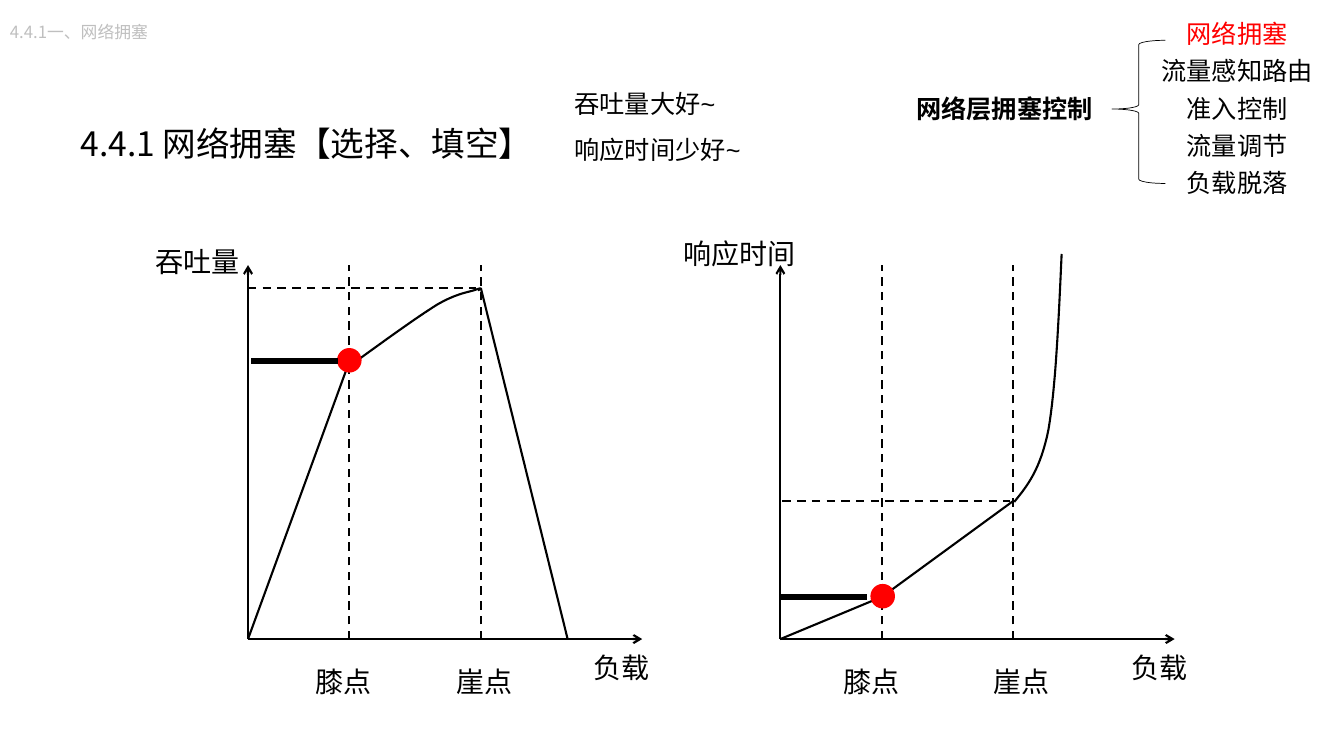
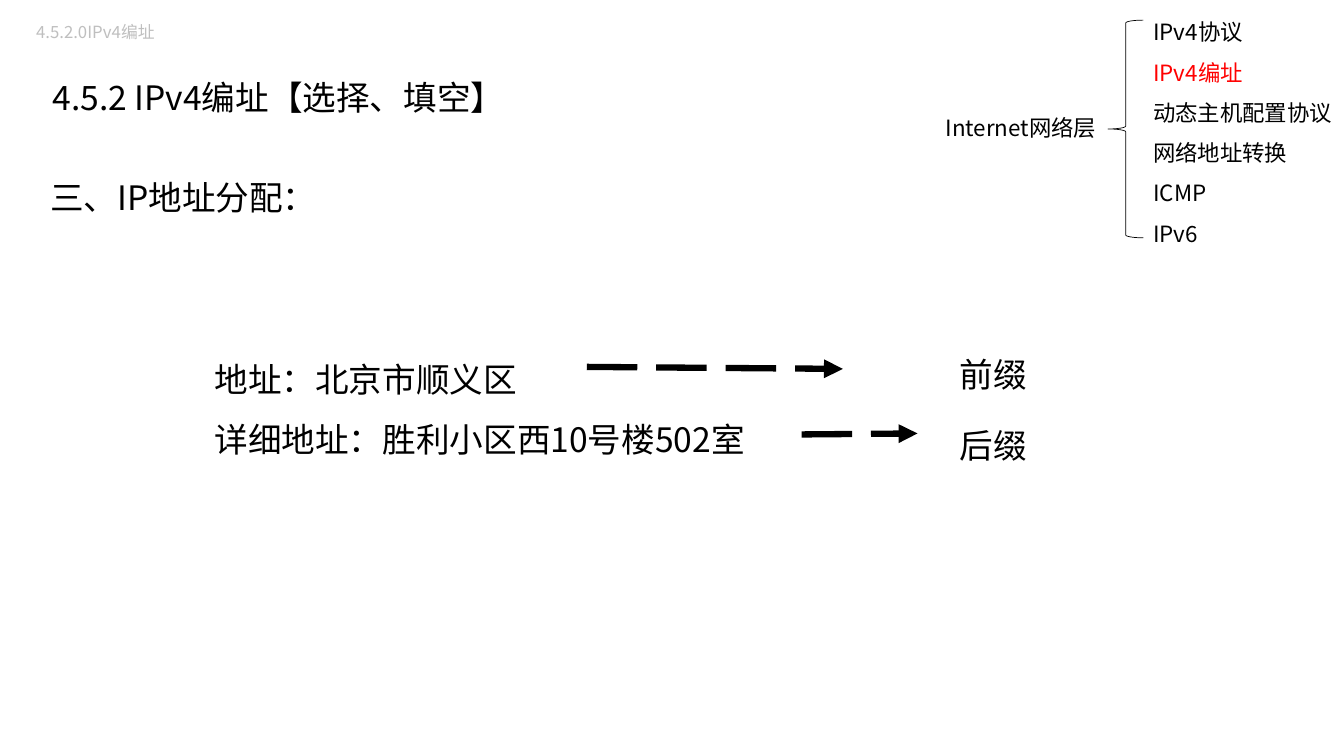
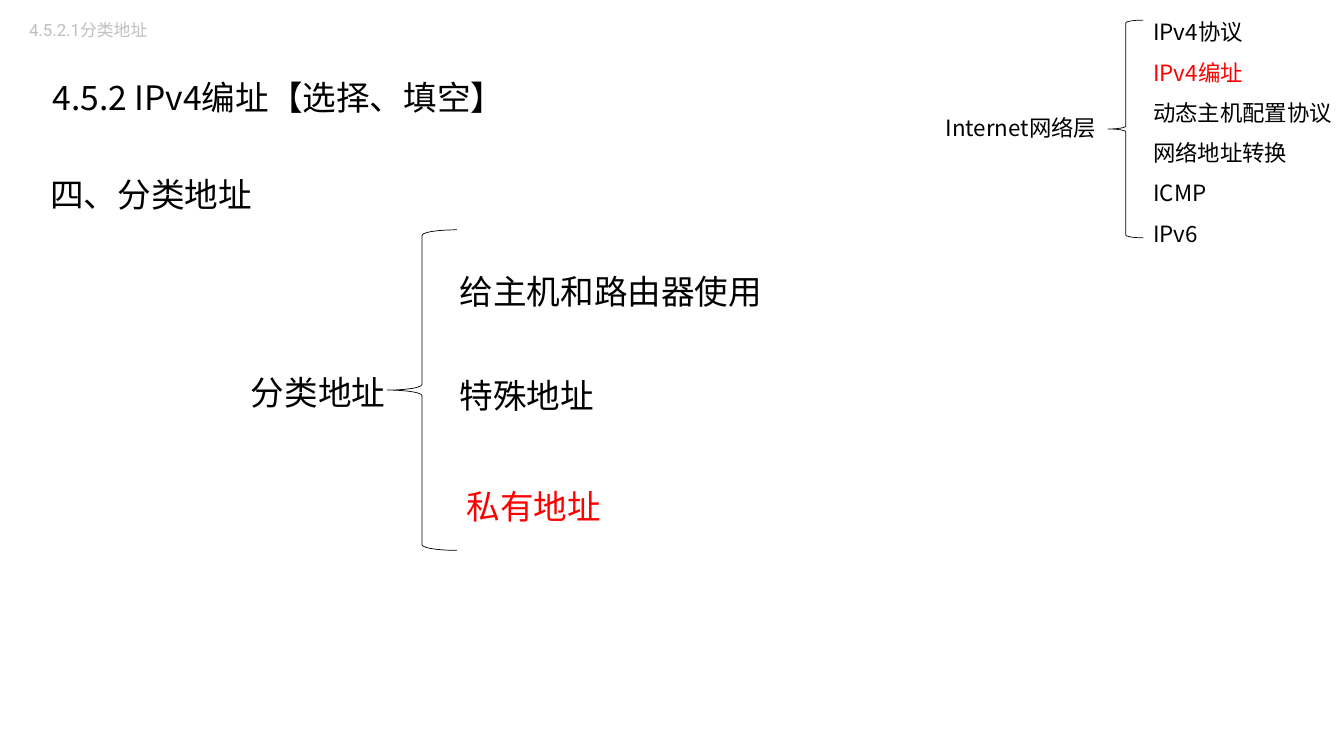
from dataclasses import dataclass

from lxml.etree import SubElement
from pptx import Presentation
from pptx.dml.color import RGBColor
from pptx.enum.dml import MSO_LINE
from pptx.enum.shapes import MSO_CONNECTOR, MSO_SHAPE
from pptx.enum.text import MSO_ANCHOR, MSO_AUTO_SIZE, PP_ALIGN
from pptx.oxml.ns import qn
from pptx.util import Pt

PX = 9144  # EMU per px, 100 px to the inch
BLACK, RED, GREY = "000000", "FF0000", "BFBFBF"
CJK, ARIAL, ROBOTO = "Noto Sans CJK SC", "Arial", "Roboto"

Point = tuple[int, int]
Box = tuple[int, int, int, int]
Cubic = tuple[Point, Point, Point]


@dataclass
class Graph:
    origin_x: int
    quantity: str
    quantity_at: Point
    knee: Point
    cliff: Point
    straights: list[tuple[Point, Point]]
    curve_start: Point
    curve: list[Cubic]
    guide_x: tuple[int, int]
    bar_x: tuple[int, int]
    labels: list[tuple[str, int, int]]


@dataclass
class Arrow:
    start: Point
    end: Point


AXIS_Y, AXIS_TOP, AXIS_LENGTH, DOT = 634, 263, 391, 23

GRAPHS = [
    Graph(246, "吞吐量", (144, 238), (346, 358), (477, 286),
          [((246, 634), (346, 360)), ((563, 634), (477, 286))],
          (347, 363),
          [((380, 339), (413, 315), (434, 302)),
           ((455, 290), (466, 290), (473, 287)),
           ((479, 285), (477, 287), (474, 288))],
          (246, 472), (249, 335),
          [("膝点", 303, 654), ("崖点", 443, 654), ("负载", 579, 640)]),
    Graph(774, "响应时间", (668, 230), (875, 592), (1005, 497),
          [((774, 634), (875, 592)), ((875, 592), (1005, 497))],
          (1006, 498),
          [((1019, 482), (1032, 466), (1040, 426)),
           ((1047, 385), (1050, 319), (1053, 252))],
          (776, 1002), (774, 860),
          [("膝点", 827, 654), ("崖点", 976, 654), ("负载", 1112, 640)]),
]

CONTROLS = ["网络拥塞", "流量感知路由", "准入控制", "流量调节", "负载脱落"]
PROTOCOLS = ["IPv4协议", "IPv4编址", "动态主机配置协议", "网络地址转换", "ICMP", "IPv6"]
ADDRESS_ARROWS = [Arrow((582, 364), (836, 366)), Arrow((795, 431), (910, 430))]


def rgb(color: str) -> RGBColor:
    return RGBColor.from_string(color)


def add_text(slide, box: Box, *lines: str, size: int = 24, font: str = CJK,
             color: str = BLACK, red_line: int = -1, bold: bool = False,
             spacing=None, align=PP_ALIGN.LEFT, anchor=MSO_ANCHOR.TOP,
             grow: bool = True, inset: Point = (10, 5)) -> None:
    frame = slide.shapes.add_textbox(*(v * PX for v in box)).text_frame
    frame.word_wrap = True
    frame.auto_size = MSO_AUTO_SIZE.SHAPE_TO_FIT_TEXT if grow else MSO_AUTO_SIZE.NONE
    frame.vertical_anchor = anchor
    frame.margin_left = frame.margin_right = inset[0] * PX
    frame.margin_top = frame.margin_bottom = inset[1] * PX
    for index, line in enumerate(lines):
        paragraph = frame.add_paragraph() if index else frame.paragraphs[0]
        paragraph.alignment = align
        paragraph.line_spacing = spacing
        run = paragraph.add_run()
        run.text = line
        run.font.size = Pt(size)
        run.font.bold = bold
        run.font.name = font
        run.font.color.rgb = rgb(RED if index == red_line else color)
        SubElement(run.font._element, qn("a:ea"), typeface=CJK)


def add_line(slide, start: Point, end: Point, width: float = 1.5,
             dash=None, head: str = "") -> None:
    line = slide.shapes.add_connector(
        MSO_CONNECTOR.STRAIGHT, *(v * PX for v in (*start, *end)))
    line.line.color.rgb = rgb(BLACK)
    line.line.width = Pt(width)
    if dash:
        line.line.dash_style = dash
    properties = line._element.spPr
    if head:
        SubElement(properties.find(qn("a:ln")), qn("a:tailEnd"), type=head)
    SubElement(properties, qn("a:effectLst"))


def add_curve(slide, start: Point, cubics: list[Cubic], steps: int = 16) -> None:
    points, origin = [], start
    for first, second, end in cubics:
        for step in range(1, steps + 1):
            t = step / steps
            weights = ((1 - t) ** 3, 3 * t * (1 - t) ** 2, 3 * t * t * (1 - t), t ** 3)
            knots = (origin, first, second, end)
            points.append(tuple(
                PX * sum(w * knot[axis] for w, knot in zip(weights, knots))
                for axis in (0, 1)))
        origin = end
    builder = slide.shapes.build_freeform(start[0] * PX, start[1] * PX)
    builder.add_line_segments(points, close=False)
    outline(builder.convert_to_shape(), 1.5)


def outline(shape, width: float, color: str = BLACK, fill: str = "") -> None:
    shape.shadow.inherit = False
    if fill:
        shape.fill.solid()
        shape.fill.fore_color.rgb = rgb(fill)
    else:
        shape.fill.background()
    shape.line.color.rgb = rgb(color)
    shape.line.width = Pt(width)


def add_preset(slide, kind, box: Box):
    return slide.shapes.add_shape(kind, *(v * PX for v in box))


def add_brace(slide, box: Box, curl: float = 0.08, tip: float = 0.5) -> None:
    brace = add_preset(slide, MSO_SHAPE.LEFT_BRACE, box)
    brace.adjustments[0], brace.adjustments[1] = curl, tip
    outline(brace, 0.5)


def add_title(slide, box: Box, title: str) -> None:
    add_text(slide, box, title, spacing=1.5, anchor=MSO_ANCHOR.MIDDLE,
             grow=False, inset=(12, 6))


def add_breadcrumb(slide, box: Box, label: str, font: str = CJK) -> None:
    add_text(slide, box, label, size=12, font=font, color=GREY)


def add_graph(slide, graph: Graph) -> None:
    # Axes
    origin = (graph.origin_x, AXIS_Y)
    add_line(slide, origin, (graph.origin_x, AXIS_TOP), head="arrow")
    add_line(slide, origin, (graph.origin_x + AXIS_LENGTH, AXIS_Y), head="arrow")
    # Dashed guides
    for x in (graph.knee[0], graph.cliff[0]):
        add_line(slide, (x, AXIS_Y), (x, AXIS_TOP), dash=MSO_LINE.DASH)
    left, right = graph.guide_x
    add_line(slide, (left, graph.cliff[1]), (right, graph.cliff[1]), dash=MSO_LINE.DASH)
    # Load response
    for start, end in graph.straights:
        add_line(slide, start, end)
    add_curve(slide, graph.curve_start, graph.curve)
    # Knee mark
    knee_x, knee_y = graph.knee
    dot = add_preset(slide, MSO_SHAPE.OVAL,
                     (knee_x - DOT // 2, knee_y - DOT // 2 - 1, DOT, DOT))
    outline(dot, 1, RED, RED)
    left, right = graph.bar_x
    add_line(slide, (left, knee_y), (right, knee_y), 4.5)
    # Labels
    add_text(slide, (*graph.quantity_at, 179, 44), graph.quantity, size=20, font=ARIAL)
    for label, x, y in graph.labels:
        add_text(slide, (x, y, 90, 44), label, size=20, font=ARIAL)


def add_ipv4_header(slide) -> None:
    add_brace(slide, (1099, 20, 35, 216))
    add_text(slide, (1134, 0, 200, 252), *PROTOCOLS, size=16, red_line=1, spacing=1.5)
    add_text(slide, (928, 108, 173, 37), "Internet网络层", size=16)
    add_title(slide, (40, 34, 675, 104), "4.5.2 IPv4编址【选择、填空】")


def build_congestion(slide) -> None:
    for graph in GRAPHS:
        add_graph(slide, graph)
    # Topic outline
    add_brace(slide, (1103, 40, 53, 142), tip=0.48)
    add_text(slide, (899, 88, 198, 40), "网络层拥塞控制", size=18, bold=True)
    for row, control in enumerate(CONTROLS):
        add_text(slide, (1141, 21 + 37 * row, 172, 33), control, size=18,
                 color=BLACK if row else RED, spacing=Pt(16), align=PP_ALIGN.CENTER)
    # Headings
    add_text(slide, (560, 68, 215, 101), "吞吐量大好~", "响应时间少好~",
             size=18, font=ARIAL, spacing=1.5)
    add_title(slide, (68, 80, 507, 104), "4.4.1 网络拥塞【选择、填空】")
    add_breadcrumb(slide, (0, 17, 163, 30), "4.4.1一、网络拥塞")


def build_allocation(slide) -> None:
    add_ipv4_header(slide)
    add_breadcrumb(slide, (26, 17, 146, 30), "4.5.2.0IPv4编址")
    add_text(slide, (40, 151, 1185, 64), "三、IP地址分配：", spacing=1.5)
    # Address parts and what they stand for
    add_text(slide, (203, 331, 594, 131), "地址：北京市顺义区",
             "详细地址：胜利小区西10号楼502室", spacing=1.5)
    for arrow in ADDRESS_ARROWS:
        add_line(slide, arrow.start, arrow.end, 4.5, MSO_LINE.LONG_DASH, "triangle")
    for part, y in (("前缀", 326), ("后缀", 397)):
        add_text(slide, (942, y, 96, 64), part, spacing=1.5)


def build_classes(slide) -> None:
    add_ipv4_header(slide)
    add_breadcrumb(slide, (19, 15, 139, 30), "4.5.2.1分类地址", ROBOTO)
    # Address class tree
    add_brace(slide, (384, 228, 69, 318))
    for label, x, y, width, color in (
            ("四、分类地址", 40, 156, 526, BLACK),
            ("分类地址", 239, 353, 181, BLACK),
            ("给主机和路由器使用", 446, 252, 362, BLACK),
            ("特殊地址", 446, 356, 362, BLACK),
            ("私有地址", 453, 466, 362, RED)):
        add_text(slide, (x, y, width, 62), label, color=color, spacing=Pt(37))


def main() -> None:
    deck = Presentation()
    deck.slide_width, deck.slide_height = 1333 * PX, 750 * PX
    blank = deck.slide_layouts[6]
    for build in (build_congestion, build_allocation, build_classes):
        build(deck.slides.add_slide(blank))
    deck.save("out.pptx")


if __name__ == "__main__":
    main()
